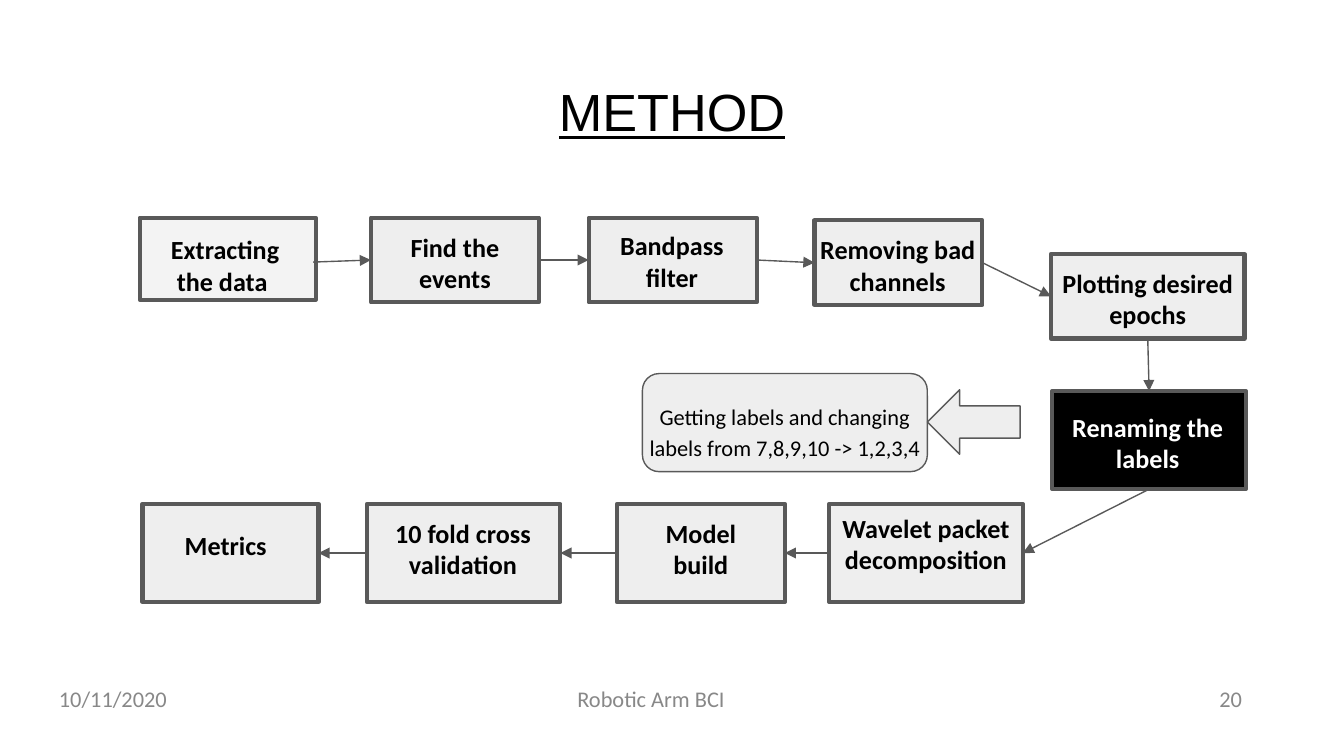
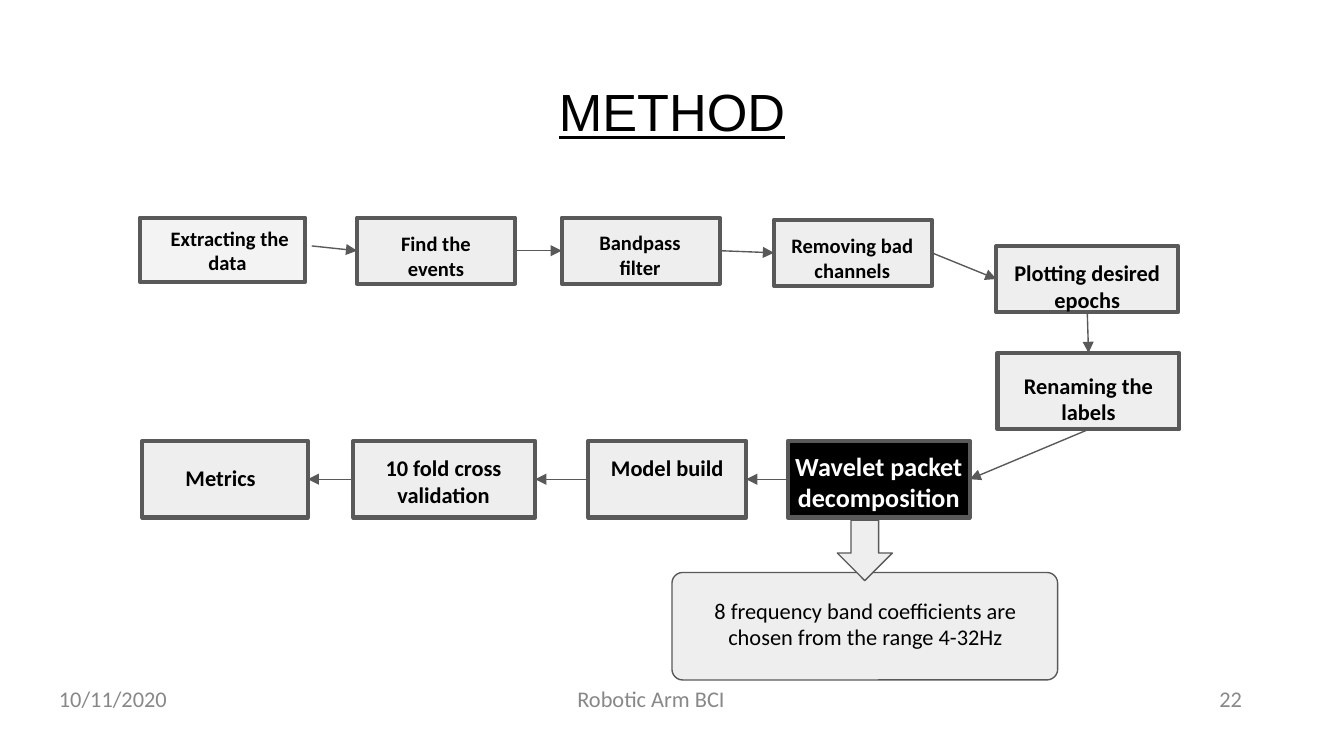
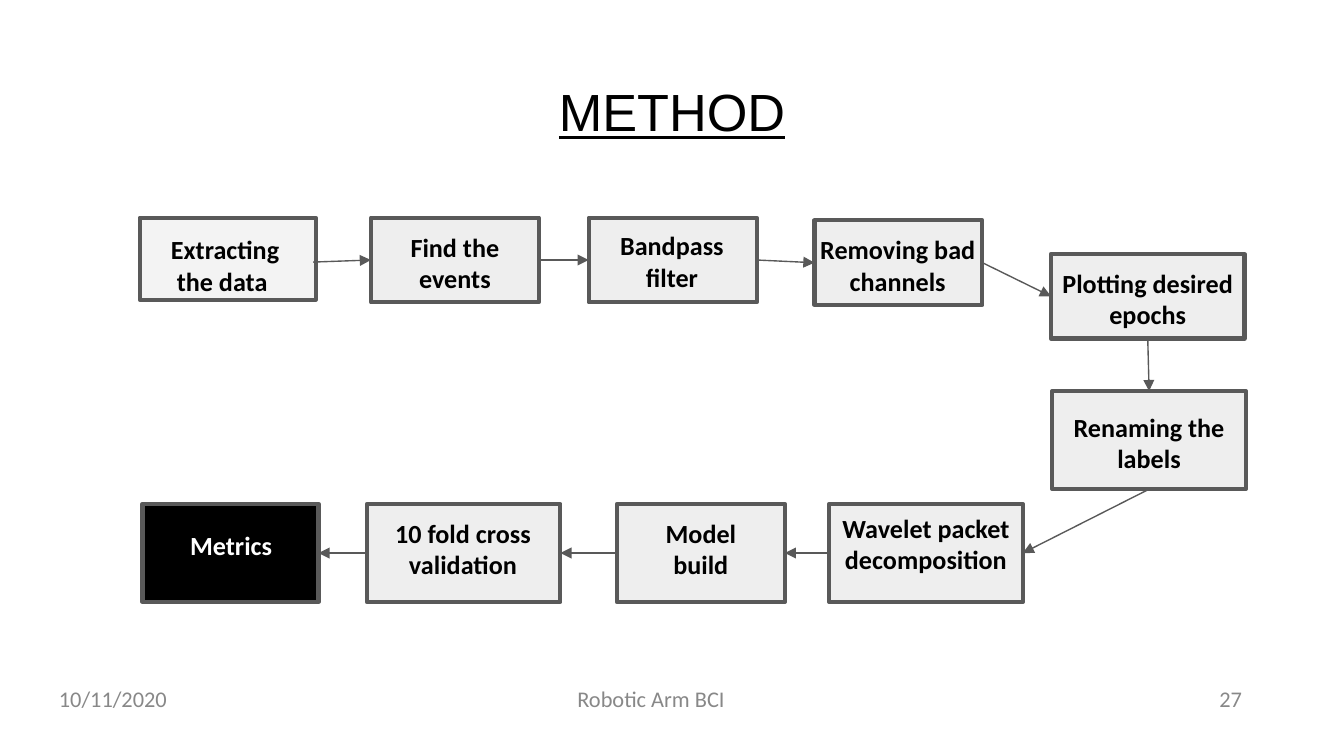
"""Build three pages that follow one signal-processing method step by step."""
from dataclasses import dataclass, field
from typing import NamedTuple, Optional

from lxml import etree
from pptx import Presentation
from pptx import util as u
from pptx.dml.color import RGBColor
from pptx.enum import shapes, text
from pptx.oxml.ns import qn

COLUMNS, ROWS = 100, 56.25
SLIDE_WIDTH, SLIDE_HEIGHT = u.Inches(10), u.Inches(5.625)
TOP, LEFT, BOTTOM, RIGHT = range(4)
ALIGN = text.PP_ALIGN
SHAPE = shapes.MSO_SHAPE


@dataclass(frozen=True)
class Theme:
    """Colours, fonts, type sizes and line widths of the deck."""
    ink: str = "000000"
    reverse: str = "FFFFFF"
    panel: str = "EEEEEE"
    pale: str = "F3F3F3"
    edge: str = "595959"
    muted: str = "888888"
    heading_font: str = "Arial"
    body_font: str = "Calibri"
    heading: float = 28
    large: float = 14
    medium: float = 12
    small: float = 11
    thick: float = 2.25
    thin: float = 0.75


THEME = Theme()


class Area(NamedTuple):
    """A rectangle in grid columns and rows."""
    left: float
    top: float
    width: float
    height: float

    def place(self) -> tuple:
        """Return the rectangle as lengths on the slide."""
        return (across(self.left), down(self.top), across(self.width), down(self.height))


class Style(NamedTuple):
    """The look of one piece of text."""
    size: float = THEME.medium
    color: str = THEME.ink
    bold: bool = False
    underline: bool = False
    font: str = THEME.body_font
    align: ALIGN = ALIGN.CENTER
    spacing: Optional[float] = None


class Step(NamedTuple):
    """One stage of the method: its box and its caption."""
    wording: str
    box: Area
    caption: Area
    fill: str = THEME.panel


class Link(NamedTuple):
    """An arrow from a side of one step to a side of the next."""
    leave: int
    enter: int


class Note(NamedTuple):
    """A rounded remark with a block arrow beside it."""
    wording: str
    box: Area
    corner: float
    caption: Area
    arrow: Area
    arrow_shape: SHAPE
    spacing: Optional[float] = None


class Footer(NamedTuple):
    """A line of text at the foot of the page."""
    wording: str
    area: Area
    align: ALIGN


@dataclass(frozen=True)
class Flow:
    """One page: which step is lit and how the chart is set."""
    number: int
    lit: str
    first_exit: tuple
    scale: tuple = (1, 1)
    top_size: float = THEME.large
    size: float = THEME.large
    captions: dict = field(default_factory=dict)
    note: Optional[Note] = None

    def fit(self, area: Area) -> Area:
        """Scale an area about the chart's top left corner."""
        (wide, tall), (left, top) = self.scale, STEPS[0].box[:2]
        return Area(left + (area.left - left) * wide, top + (area.top - top) * tall,
                    area.width * wide, area.height * tall)

    def size_of(self, index: int) -> float:
        """Return the type size of a step's caption."""
        if STEPS[index].wording == self.lit:
            return THEME.large
        return self.top_size if index < TOP_ROW else self.size


TOP_ROW = 4
STEPS = (
    Step("Extracting the data ", Area(10.4, 16.2, 13.1, 6.1), Area(10.2, 16.4, 13.1, 6.3), THEME.pale),
    Step("Find the events", Area(27.6, 16.2, 12.5, 6.3), Area(28.3, 16.2, 11.1, 5.5)),
    Step("Bandpass filter", Area(43.8, 16.2, 12.5, 6.3), Area(44.2, 16.1, 11.6, 5.6)),
    Step("Removing bad channels", Area(60.6, 16.4, 12.5, 6.3), Area(59.6, 16.4, 14.4, 6.3)),
    Step("Plotting desired epochs", Area(78.2, 18.9, 14.4, 6.3), Area(77.4, 18.9, 16, 6.1)),
    Step("Renaming the labels", Area(78.3, 29.1, 14.4, 7.3), Area(78.3, 29.6, 14.4, 6.1)),
    Step("Wavelet packet decomposition", Area(61.7, 37.5, 14.4, 7.3), Area(60.9, 37.1, 16, 6.3)),
    Step("Model build", Area(45.9, 37.5, 12.5, 7.3), Area(46.6, 37.5, 11.1, 5.5)),
    Step("10 fold cross validation", Area(27.3, 37.5, 14.4, 7.3), Area(27.9, 37.5, 13.1, 7.3)),
    Step("Metrics", Area(10.6, 37.5, 13.1, 7.3), Area(12.1, 38.4, 9.4, 5.5)),
)
LINKS = (
    *[Link(RIGHT, LEFT)] * TOP_ROW,
    Link(BOTTOM, TOP),
    Link(BOTTOM, RIGHT),
    *[Link(LEFT, RIGHT)] * 3,
)
LABEL_NOTE = Note(
    "Getting labels and changing labels from 7,8,9,10 -> 1,2,3,4",
    Area(47.8, 27.8, 21.2, 7.3), 0.17, Area(47.2, 28.7, 22.4, 5.5),
    Area(69, 29, 6.9, 4.8), SHAPE.LEFT_ARROW, 1.15)
BAND_NOTE = Note(
    "8 frequency band coefficients are chosen from the range 4-32Hz",
    Area(50, 42.6, 28.7, 8), 0.1, Area(51, 43.4, 26.8, 6.3),
    Area(62.3, 38.7, 4.1, 4.5), SHAPE.DOWN_ARROW)
FLOWS = (
    Flow(20, "Renaming the labels", (23.3, 19.5), note=LABEL_NOTE,
         captions={"Renaming the labels": Area(78.2, 29.6, 14.4, 6.1)}),
    Flow(22, "Wavelet packet decomposition", (23.2, 18.3), (0.94, 0.78),
         THEME.small, THEME.medium, note=BAND_NOTE,
         captions={"Extracting the data ": Area(10.9, 15.8, 12.4, 4.9)}),
    Flow(27, "Metrics", (23.3, 19.5),
         captions={"Metrics": Area(12.5, 38.4, 9.4, 5.5)}),
)


def across(columns: float) -> int:
    """Turn grid columns into a length."""
    return round(SLIDE_WIDTH * columns / COLUMNS)


def down(rows: float) -> int:
    """Turn grid rows into a length."""
    return round(SLIDE_HEIGHT * rows / ROWS)


def add_text(page, wording: str, area: Area, style: Style, inset: float = 0.1,
             anchor=text.MSO_ANCHOR.TOP) -> None:
    """Write one wrapped paragraph in a text box."""
    frame = page.shapes.add_textbox(*area.place()).text_frame
    frame.word_wrap = True
    frame.vertical_anchor = anchor
    frame.margin_left = frame.margin_right = u.Inches(0.1)
    frame.margin_top = frame.margin_bottom = u.Inches(inset)
    frame.text = wording
    para = frame.paragraphs[0]
    para.alignment = style.align
    if style.spacing:
        para.line_spacing = style.spacing
    for span in para.runs:
        span.font.name = style.font
        span.font.size = u.Pt(style.size)
        span.font.bold = style.bold
        span.font.underline = style.underline
        span.font.color.rgb = RGBColor.from_string(style.color)


def add_box(page, kind: SHAPE, area: Area, fill: str, weight: float):
    """Draw a filled and outlined preset shape."""
    box = page.shapes.add_shape(kind, *area.place())
    box.shadow.inherit = False
    box.fill.solid()
    box.fill.fore_color.rgb = RGBColor.from_string(fill)
    set_line(box.line, weight)
    return box


def set_line(line, weight: float) -> None:
    """Give a line the edge colour and a width."""
    line.color.rgb = RGBColor.from_string(THEME.edge)
    line.width = u.Pt(weight)


def add_arrow(page, link: Link, origin, target, start: Optional[tuple] = None) -> None:
    """Join two boxes with an arrow, or lead it from a free start."""
    column, row = start or (0, 0)
    begin = across(column), down(row)
    connector = page.shapes.add_connector(shapes.MSO_CONNECTOR.STRAIGHT, *begin, *begin)
    if start is None:
        connector.begin_connect(origin, link.leave)
    connector.end_connect(target, link.enter)
    set_line(connector.line, THEME.thin)
    properties = connector.element.spPr
    etree.SubElement(properties.find(qn("a:ln")), qn("a:tailEnd"), type="triangle")
    etree.SubElement(properties, qn("a:effectLst"))


def add_steps(page, flow: Flow) -> None:
    """Draw the chain of steps and the arrows between them."""
    boxes = []
    for index, step in enumerate(STEPS):
        lit = step.wording == flow.lit
        fill = THEME.ink if lit else step.fill
        boxes.append(add_box(page, SHAPE.RECTANGLE, flow.fit(step.box), fill, THEME.thick))
        caption = flow.captions.get(step.wording) or flow.fit(step.caption)
        color = THEME.reverse if lit else THEME.ink
        add_text(page, step.wording, caption, Style(flow.size_of(index), color, bold=True))
    for index, link in enumerate(LINKS):
        start = flow.first_exit if index == 0 else None
        add_arrow(page, link, boxes[index], boxes[index + 1], start)


def add_note(page, note: Note) -> None:
    """Draw a remark, its block arrow and its text."""
    box = add_box(page, SHAPE.ROUNDED_RECTANGLE, note.box, THEME.panel, THEME.thin)
    box.adjustments[0] = note.corner
    add_box(page, note.arrow_shape, note.arrow, THEME.panel, THEME.thin)
    add_text(page, note.wording, note.caption, Style(spacing=note.spacing))


def add_frame(page, number: int) -> None:
    """Write the heading and the footers that every page shares."""
    add_text(page, "METHOD", Area(3.4, 4.9, 93.2, 6.3),
             Style(THEME.heading, underline=True, font=THEME.heading_font))
    footers = (
        Footer(str(number), Area(70.1, 50, 23.3, 4), ALIGN.RIGHT),
        Footer("Robotic Arm BCI", Area(32.6, 50, 31.7, 4), ALIGN.CENTER),
        Footer("10/11/2020", Area(3.4, 50, 23.3, 4), ALIGN.LEFT),
    )
    for footer in footers:
        add_text(page, footer.wording, footer.area,
                 Style(color=THEME.muted, align=footer.align), 0.05, text.MSO_ANCHOR.MIDDLE)


def main() -> None:
    """Build and save the deck."""
    deck = Presentation()
    deck.slide_width, deck.slide_height = SLIDE_WIDTH, SLIDE_HEIGHT
    for flow in FLOWS:
        page = deck.slides.add_slide(deck.slide_layouts[6])
        add_frame(page, flow.number)
        add_steps(page, flow)
        if flow.note:
            add_note(page, flow.note)
    deck.save("out.pptx")


if __name__ == "__main__":
    main()
